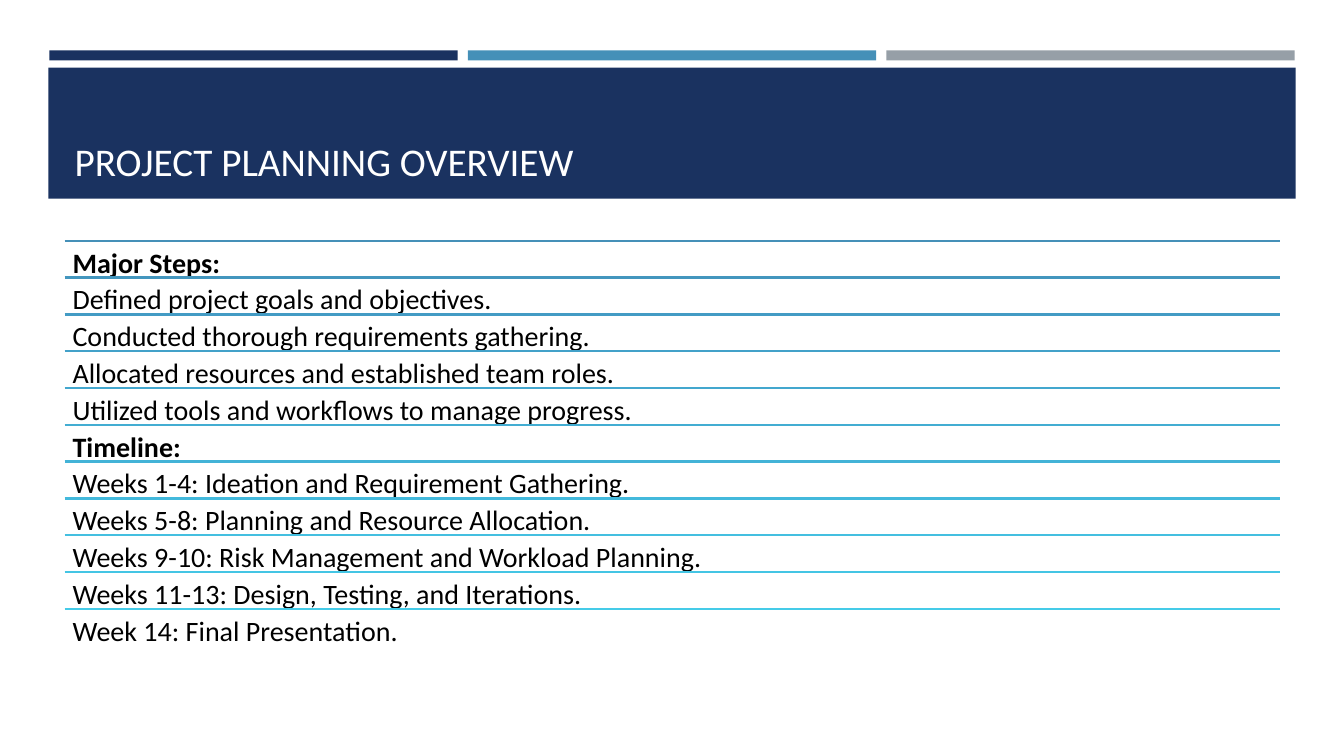
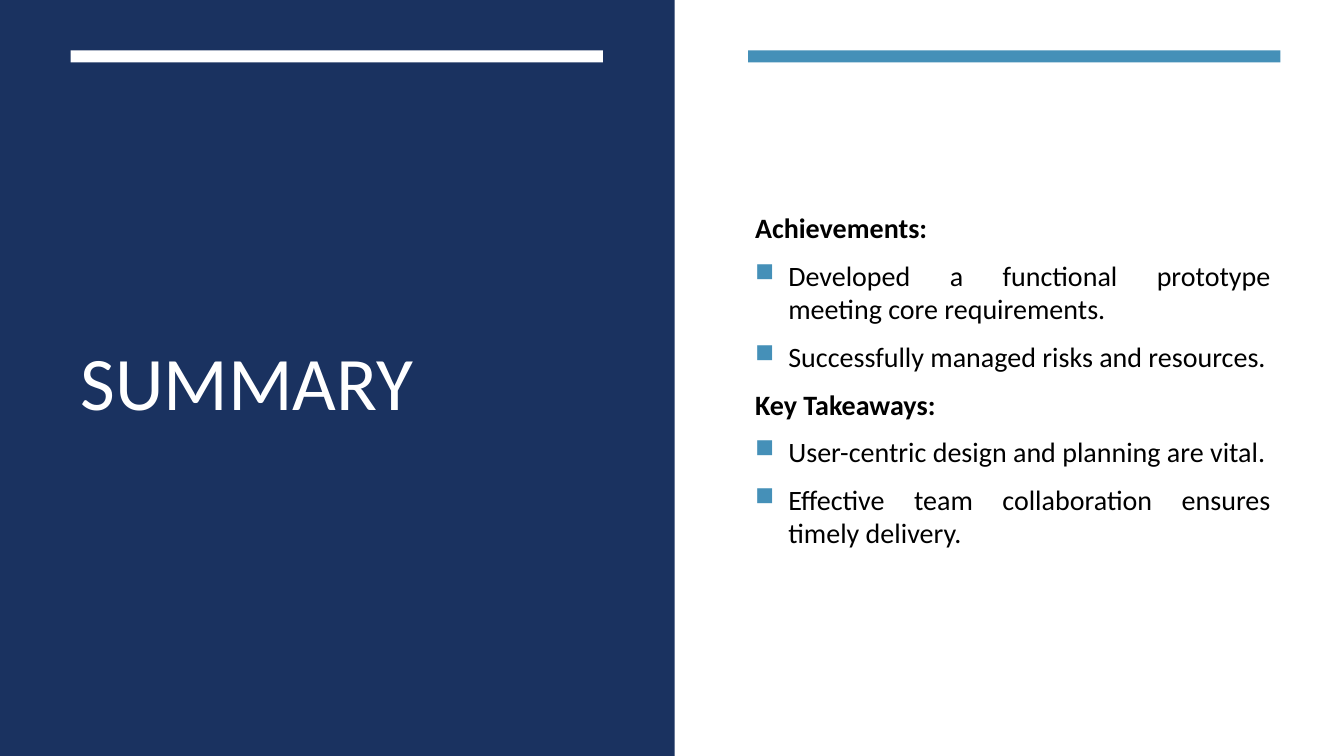
import colorsys

from lxml import etree
from pptx import Presentation
from pptx.dml.color import RGBColor
from pptx.enum import shapes, text
from pptx.oxml.ns import qn
from pptx.util import Inches, Pt

NAVY, BLUE, GREY = "1A3260", "4590B8", "969FA7"
WHITE, BLACK = "FFFFFF", "000000"
FONT = "Calibri"
LEFT, WIDTH = 0.64, 12.06

deck = Presentation()
deck.slide_width, deck.slide_height = Inches(13.33), Inches(7.5)


def style(para, size, color, bold=False):
    """Format every run of a paragraph."""
    for run in para.runs:
        run.font.name, run.font.size, run.font.bold = FONT, Pt(size), bold
        run.font.color.rgb = RGBColor.from_string(color)


def begin(bars, head, place, size, anchor):
    """Add a slide with its colour bars and, in front of them, its title."""
    slide = deck.slides.add_slide(deck.slide_layouts[5])
    for *box, color in bars:
        bar = slide.shapes.add_shape(shapes.MSO_SHAPE.RECTANGLE, *map(Inches, box))
        bar.shadow.inherit = False
        bar.fill.solid()
        bar.fill.fore_color.rgb = RGBColor.from_string(color)
        bar.line.fill.background()
    title = slide.shapes.title
    title.left, title.top, title.width, title.height = map(Inches, place)
    frame = title.text_frame
    frame.text = head
    frame.auto_size = text.MSO_AUTO_SIZE.NONE
    frame.vertical_anchor = anchor
    frame.paragraphs[0].alignment = text.PP_ALIGN.LEFT
    style(frame.paragraphs[0], size, WHITE)
    title.element.getparent().append(title.element)
    return slide


# Slide 1: ruled list of steps and dates
bars = [(0.49 + 4.15 * i, 0.5, 4.05, 0.1, color)
        for i, color in enumerate((NAVY, BLUE, GREY))]
bars.append((0.48, 0.67, 12.37, 1.3, NAVY))
slide = begin(bars, "PROJECT PLANNING OVERVIEW", (LEFT, 0.77, WIDTH, 1.11),
              28, text.MSO_ANCHOR.BOTTOM)

rows = [
    "Major Steps:",
    "Defined project goals and objectives.",
    "Conducted thorough requirements gathering.",
    "Allocated resources and established team roles.",
    "Utilized tools and workflows to manage progress.",
    "Timeline:",
    "Weeks 1-4: Ideation and Requirement Gathering.",
    "Weeks 5-8: Planning and Resource Allocation.",
    "Weeks 9-10: Risk Management and Workload Planning.",
    "Weeks 11-13: Design, Testing, and Iterations.",
    "Week 14: Final Presentation.",
]
first, last = (colorsys.rgb_to_hls(*(v / 255 for v in bytes.fromhex(color)))
               for color in (BLUE, "45CBE8"))
top, end = 2.39, 6.04
for i, row in enumerate(rows):
    part = i / (len(rows) - 1)
    y = Inches(top + (end - top) * part)
    hls = (a + (b - a) * part for a, b in zip(first, last))
    shade = bytes(round(v * 255) for v in colorsys.hls_to_rgb(*hls)).hex().upper()

    rule = slide.shapes.add_connector(shapes.MSO_CONNECTOR.STRAIGHT, Inches(LEFT), y,
                                      Inches(LEFT + WIDTH), y)
    rule.line.color.rgb = RGBColor.from_string(shade)
    rule.line.width = Pt(1.75)
    etree.SubElement(rule.element.spPr, qn("a:effectLst"))

    frame = slide.shapes.add_textbox(Inches(LEFT), y, Inches(WIDTH), Inches(0.37)).text_frame
    frame.word_wrap = True
    frame.margin_left = frame.margin_right = Inches(0.08)
    frame.margin_top = frame.margin_bottom = Inches(0.08)
    frame.text = row
    frame.paragraphs[0].line_spacing = 0.9
    style(frame.paragraphs[0], 20, BLACK, row.endswith(":"))

# Slide 2: summary beside bullets
bars = [
    (0, 0, 6.69, 7.5, NAVY),
    (0.7, 0.5, 5.28, 0.12, WHITE),
    (7.42, 0.5, 5.28, 0.12, BLUE),
]
slide = begin(bars, "SUMMARY", (0.7, 1.13, 5.28, 5.28), 54, text.MSO_ANCHOR.MIDDLE)

points = [
    "Achievements:",
    "Developed a functional prototype meeting core requirements.",
    "Successfully managed risks and resources.",
    "Key Takeaways:",
    "User-centric design and planning are vital.",
    "Effective team collaboration ensures timely delivery.",
]
box = slide.shapes.add_textbox(Inches(7.39), Inches(1.13), Inches(5.31), Inches(5.28))
frame = box.text_frame
frame.word_wrap = True
frame.vertical_anchor = text.MSO_ANCHOR.MIDDLE
frame.text = "\n".join(points)
for para in frame.paragraphs:
    head = para.text.endswith(":")
    para.alignment = text.PP_ALIGN.JUSTIFY
    para.space_before, para.space_after = Pt(4), Pt(6)
    style(para, 20, BLACK, head)
    if not head:
        props = para._p.get_or_add_pPr()
        props.set("marL", str(Inches(0.33)))
        props.set("indent", str(Inches(-0.33)))
        tint = etree.SubElement(props, qn("a:buClr"))
        etree.SubElement(tint, qn("a:srgbClr"), val=BLUE)
        etree.SubElement(props, qn("a:buSzPct"), val="92000")
        etree.SubElement(props, qn("a:buChar"), char="■")

deck.save("out.pptx")
